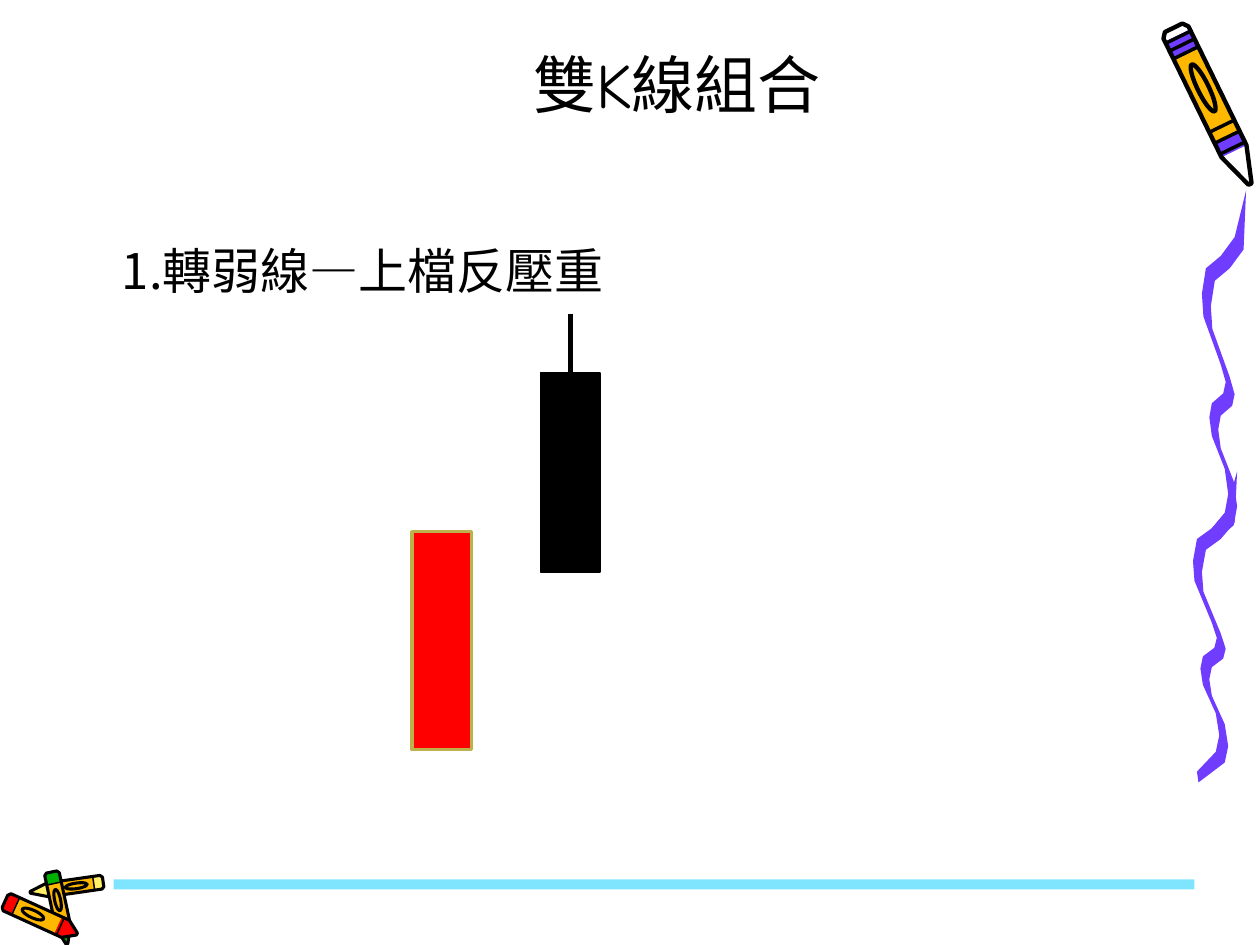
from dataclasses import dataclass
from math import atan2, degrees, hypot

from lxml import etree
from pptx import Presentation
from pptx.dml.color import RGBColor
from pptx.enum.shapes import MSO_CONNECTOR, MSO_SHAPE
from pptx.enum.text import MSO_ANCHOR, PP_ALIGN
from pptx.oxml.ns import qn
from pptx.util import Cm, Pt

RECTANGLE, OVAL = MSO_SHAPE.RECTANGLE, MSO_SHAPE.OVAL
STRAIGHT = MSO_CONNECTOR.STRAIGHT
TOP, BOTTOM = MSO_ANCHOR.TOP, MSO_ANCHOR.BOTTOM
LEFT, CENTER = PP_ALIGN.LEFT, PP_ALIGN.CENTER

BLACK, WHITE, RED, GREEN = "000000", "FFFFFF", "FF0000", "00B200"
PURPLE, ORANGE, CREAM = "703DFF", "FFB800", "FFEF66"
CYAN, OLIVE = "00CCFF", "BDB14B"
CJK_FONT = "Noto Sans CJK SC"


@dataclass
class Crayon:
    """Ends and width are in cm; the other places are shares of the length."""
    tail: tuple
    tip: tuple
    width: float
    accent: str
    nib: str
    cap_end: float
    barrel_end: float
    shoulder: float
    rings: tuple
    outline: float = 1.75

    def point(self, along, across):
        """Turn shares of length and width into cm."""
        run, rise = self.tip[0] - self.tail[0], self.tip[1] - self.tail[1]
        side = across * self.width / hypot(run, rise)
        return (self.tail[0] + along * run - side * rise,
                self.tail[1] + along * rise + side * run)

    def band(self, start, end):
        corners = [(start, -0.5), (start, 0.5), (end, 0.5), (end, -0.5)]
        return [self.point(*corner) for corner in corners]

    def silhouette(self):
        half = [(0, 0.35), (0.03, 0.5), (self.shoulder, 0.5), (1, 0.06)]
        mirrored = [(along, -across) for along, across in reversed(half)]
        return [self.point(*corner) for corner in half + mirrored]


PENCIL = Crayon((0.29, 0.56), (1.83, 3.71), 0.56, PURPLE, WHITE, 0.17, 0.7, 0.79,
                (0.05, 0.1, 0.15, 0.62, 0.69, 0.76), 2.5)
CRAYONS = [
    Crayon((2.08, 0.25), (0.61, 0.46), 0.28, CREAM, CREAM, 0.12, 0.72, 0.76, (0.12,)),
    Crayon((1.04, 0.05), (1.35, 1.5), 0.3, GREEN, GREEN, 0.16, 0.72, 0.76, (0.15,)),
    Crayon((0.1, 0.64), (1.55, 1.3), 0.38, RED, RED, 0.14, 0.74, 0.84, (0.14, 0.76)),
]

# Left edge of the trail drawn by the pencil, from its point downwards, in cm.
TRAIL_BENDS = [(0.89, 0), (0.66, 0.94), (0.38, 1.32), (0.08, 1.57), (0, 2.08),
               (0.03, 2.54), (0.38, 3.51), (0.48, 3.86), (0.43, 4.09), (0.2, 4.29),
               (0.15, 4.57), (0.2, 4.95), (0.46, 5.61), (0.53, 6.12), (0.46, 6.5),
               (0.08, 6.96)]
TRAIL_SHIFT = (0.18, 0.25)


def color(hex_text):
    return RGBColor.from_string(hex_text)


def paint(shape, fill=None, line=None, weight=0.75):
    shape.shadow.inherit = False
    if fill:
        shape.fill.solid()
        shape.fill.fore_color.rgb = color(fill)
    else:
        shape.fill.background()
    if line:
        shape.line.color.rgb = color(line)
        shape.line.width = Pt(weight)
    else:
        shape.line.fill.background()


def add_polygon(page, left, top, points, **look):
    corners = [(Cm(x), Cm(y)) for x, y in points]
    builder = page.shapes.build_freeform(*corners[0])
    builder.add_line_segments(corners[1:], close=True)
    paint(builder.convert_to_shape(left, top), **look)


def add_crayon(page, left, top, crayon):
    add_polygon(page, left, top, crayon.silhouette(), fill=crayon.nib)
    bands = [(0.05, crayon.cap_end, crayon.accent),
             (crayon.cap_end, crayon.barrel_end, ORANGE),
             (crayon.barrel_end, crayon.shoulder, crayon.accent)]
    bands += [(ring, ring + 0.02, BLACK) for ring in crayon.rings]
    for start, end, fill in bands:
        add_polygon(page, left, top, crayon.band(start, end), fill=fill)
    add_barrel_oval(page, left, top, crayon)
    add_polygon(page, left, top, crayon.silhouette(), line=BLACK, weight=crayon.outline)


def add_barrel_oval(page, left, top, crayon):
    run, rise = crayon.tip[0] - crayon.tail[0], crayon.tip[1] - crayon.tail[1]
    length, width = 0.3 * hypot(run, rise), 0.4 * crayon.width
    center_x, center_y = crayon.point((crayon.cap_end + crayon.barrel_end) / 2 - 0.05, 0)
    oval = page.shapes.add_shape(OVAL, left + Cm(center_x - length / 2),
                                 top + Cm(center_y - width / 2), Cm(length), Cm(width))
    oval.rotation = degrees(atan2(rise, run))
    paint(oval, line=BLACK, weight=crayon.outline)


def add_trail(page, left, top, stretch):
    """Draw a ribbon whose right edge is its left edge, shifted."""
    left_edge = [(x, y * stretch) for x, y in TRAIL_BENDS]
    shift_x, shift_y = TRAIL_SHIFT
    right_edge = [(x + shift_x, y + shift_y * stretch) for x, y in left_edge[1:-1]]
    end_x, end_y = left_edge[-1]
    end = (end_x + 0.03, end_y + shift_y * stretch)
    add_polygon(page, left, top, left_edge + [end] + right_edge[::-1], fill=PURPLE)


def add_right_border(page, left, top):
    add_trail(page, left + Cm(0.68), top + Cm(9.5), 0.87)
    add_trail(page, left + Cm(0.86), top + Cm(3.84), 1)
    add_crayon(page, left, top, PENCIL)


def add_footer(page, left, top):
    bar = page.shapes.add_shape(RECTANGLE, left + Cm(2.29), top + Cm(0.2),
                                Cm(21.79), Cm(0.2))
    paint(bar, CYAN)
    fill_color = bar._element.spPr.find(qn("a:solidFill"))[0]
    etree.SubElement(fill_color, qn("a:alpha"), val="50000")
    for crayon in CRAYONS:
        add_crayon(page, left, top, crayon)


def add_label(page, left, top, width, height, text, font, align=LEFT, anchor=TOP):
    box = page.shapes.add_textbox(left, top, width, height)
    for name, value in {"word_wrap": True, "vertical_anchor": anchor}.items():
        setattr(box.text_frame, name, value)
    para = box.text_frame.paragraphs[0]
    para.alignment = align
    span = para.add_run()
    span.text = text
    for name, value in font.items():
        setattr(span.font, name, value)
    span.font.color.rgb = color(BLACK)
    etree.SubElement(span.font._element, qn("a:ea"), typeface=CJK_FONT)


def add_candles(page, left, top):
    """Draw a black candle with an upper wick beside a lower red one."""
    width, wick_height = Cm(1.2), Cm(1.2)
    black_left, body_top = left + Cm(2.59), top + wick_height
    body = page.shapes.add_shape(RECTANGLE, black_left, body_top, width, Cm(4.01))
    paint(body, BLACK, BLACK)
    middle = black_left + width // 2
    wick = page.shapes.add_connector(STRAIGHT, middle, top, middle, body_top)
    wick.end_connect(body, 0)
    wick.line.color.rgb = color(BLACK)
    wick.line.width = Pt(3)
    etree.SubElement(wick._element.spPr, qn("a:effectLst"))
    red = page.shapes.add_shape(RECTANGLE, left, top + Cm(4.4), width, Cm(4.39))
    paint(red, RED, OLIVE, 2)


def main():
    deck = Presentation()
    deck.slide_width, deck.slide_height = Cm(25.4), Cm(19.05)
    page = deck.slides.add_slide(deck.slide_layouts[6])
    add_footer(page, Cm(0), Cm(17.53))
    add_right_border(page, Cm(23.37), Cm(0))
    add_label(page, Cm(2.21), Cm(4.72), Cm(12.19), Cm(1.45), "1.轉弱線—上檔反壓重",
              {"name": CJK_FONT, "size": Pt(28)})
    add_candles(page, Cm(8.31), Cm(6.32))
    add_label(page, Cm(3.61), Cm(0.51), Cm(20.07), Cm(2.06), "雙K線組合",
              {"name": "Comic Neue", "size": Pt(36)}, CENTER, BOTTOM)
    deck.save("out.pptx")


if __name__ == "__main__":
    main()
